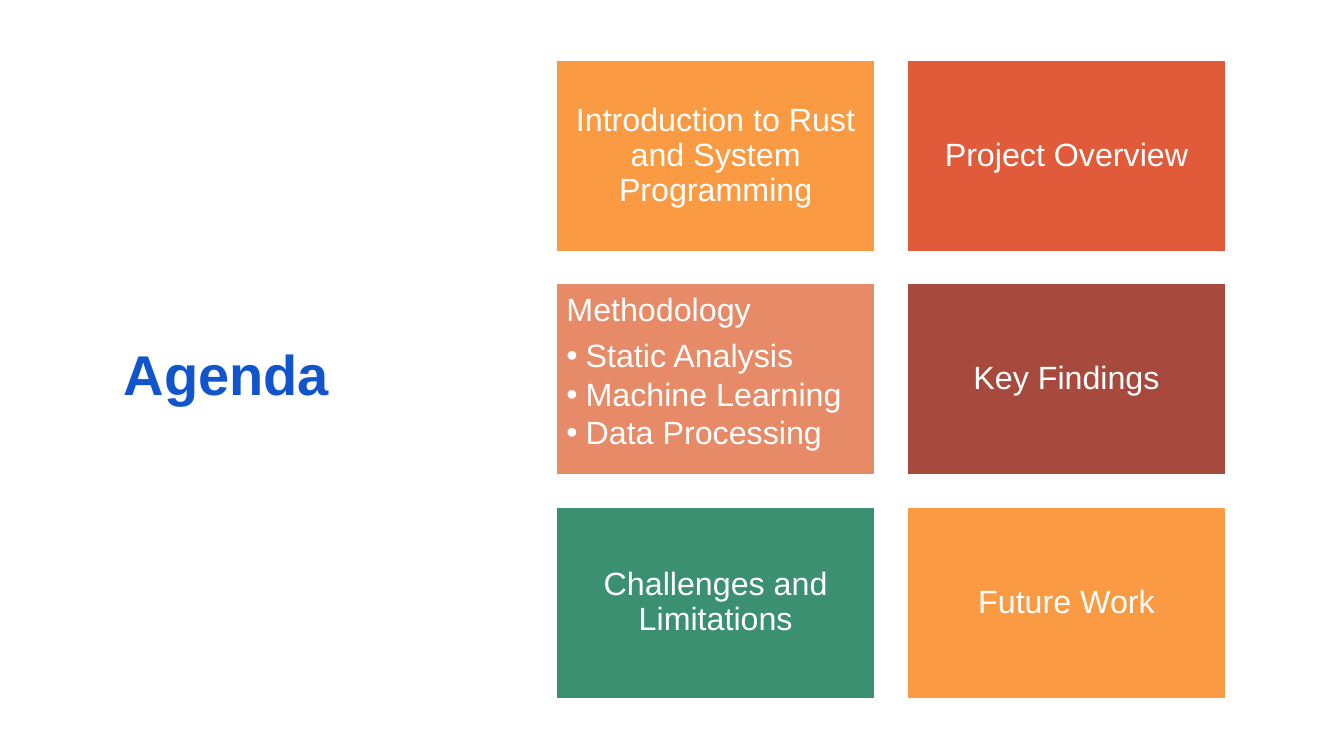
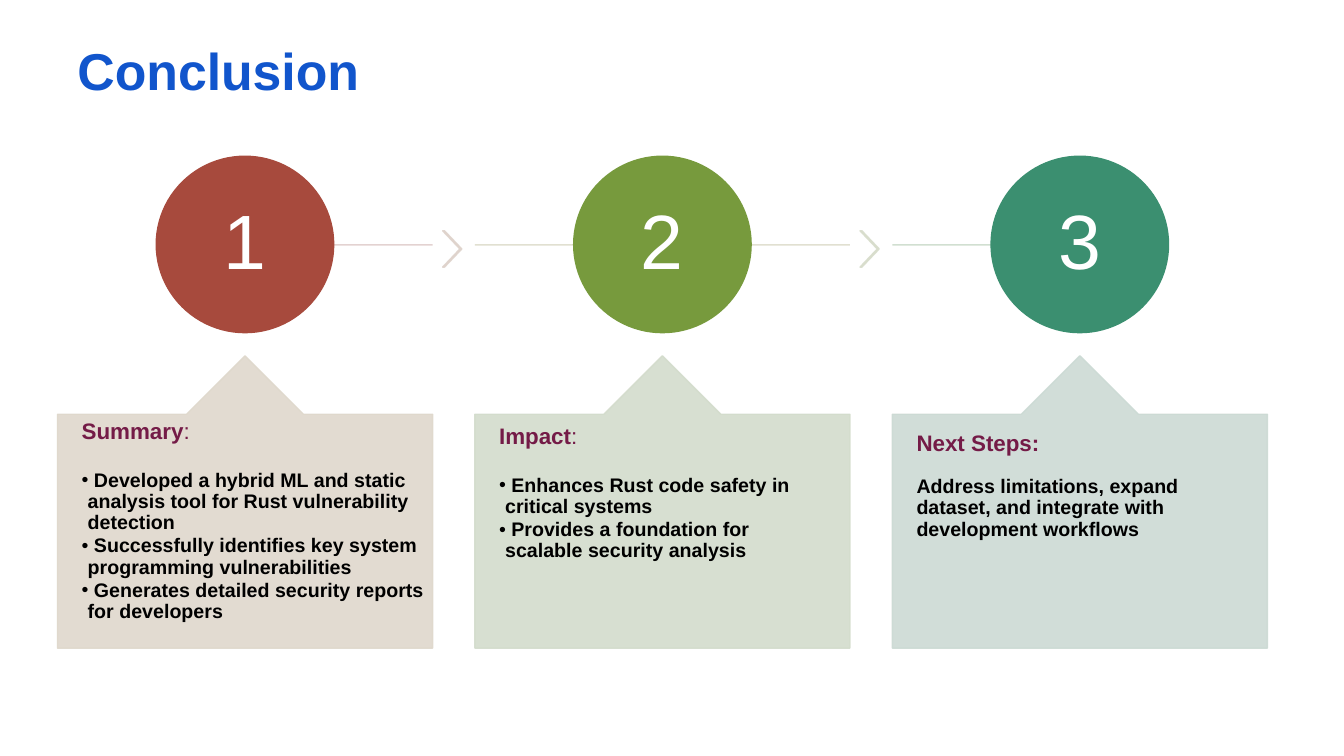
from dataclasses import dataclass

from lxml.etree import SubElement
from pptx import Presentation
from pptx.dml.color import RGBColor
from pptx.enum.shapes import MSO_CONNECTOR, MSO_SHAPE
from pptx.enum.text import MSO_ANCHOR, PP_ALIGN
from pptx.oxml.ns import qn
from pptx.util import Inches, Pt

FONT = "Arial"
COLORS = {
    "title": "1155CC", "white": "FFFFFF", "black": "000000", "heading": "741B47",
    "orange": "FA9A42", "red": "E15B3A", "salmon": "E78A67", "brick": "A74A3D",
    "green": "3A9070", "olive": "779A3D", "teal": "3B8F70",
    "line 1": "E1CECD", "line 2": "DEDDCC", "line 3": "CDDCCC",
    "chevron 1": "DFD3CC", "chevron 2": "D8DDCC",
    "card 1": "DFD8CC", "card 2": "D3DCCC", "card 3": "CCDAD4",
}


@dataclass
class Grid:
    """Equal cells, in inches: first cell's place and size, then the pitch."""
    left: float
    top: float
    width: float
    height: float
    dx: float = 0
    dy: float = 0

    def cell(self, col=0, row=0):
        return [Inches(v) for v in (self.left + col * self.dx,
                                    self.top + row * self.dy,
                                    self.width, self.height)]


def rgb(name):
    return RGBColor.from_string(COLORS[name])


def paint(fill, color, alpha=100):
    """Fill with a named colour at the given opacity in percent."""
    fill.solid()
    fill.fore_color.rgb = rgb(color)
    if alpha < 100:
        for clr in fill._xPr.iter(qn("a:srgbClr")):
            SubElement(clr, qn("a:alpha"), val=str(alpha * 1000))


def add_bullet(p, color, hang):
    pPr = p._p.get_or_add_pPr()
    pPr.set("marL", str(Inches(hang)))
    pPr.set("indent", str(-Inches(hang)))
    buClr = SubElement(pPr, qn("a:buClr"))
    SubElement(buClr, qn("a:srgbClr"), val=COLORS[color])
    SubElement(pPr, qn("a:buFont"), typeface=FONT)
    SubElement(pPr, qn("a:buChar"), char="•")


def write(tf, text, size, color="white", bold=False, align=PP_ALIGN.LEFT,
          before=0, hang=None, plain_tail=""):
    """Add a paragraph; hang makes it a bullet, plain_tail is never bold."""
    first = not tf.paragraphs[0].runs
    p = tf.paragraphs[0] if first else tf.add_paragraph()
    if hang is not None:
        add_bullet(p, color, hang)
    p.alignment = align
    p.line_spacing = 0.9
    if not first:
        p.space_before = Pt(before)
    for part, weight in ((text, bold), (plain_tail, False)):
        if part:
            r = p.add_run()
            r.text = part
            r.font.name, r.font.size, r.font.bold = FONT, Pt(size), weight
            r.font.color.rgb = rgb(color)


class Deck:
    def __init__(self):
        self.prs = Presentation()
        self.prs.slide_width, self.prs.slide_height = Inches(13.33), Inches(7.5)
        self.s = None

    def slide(self):
        self.s = self.prs.slides.add_slide(self.prs.slide_layouts[6])

    def frame(self, sp, insets, anchor):
        tf = sp.text_frame
        tf.word_wrap = True
        tf.vertical_anchor = anchor
        (tf.margin_left, tf.margin_top,
         tf.margin_right, tf.margin_bottom) = [Inches(v) for v in insets]
        return tf

    def title(self, text, grid, size, anchor=MSO_ANCHOR.TOP):
        sp = self.s.shapes.add_textbox(*grid.cell())
        tf = self.frame(sp, (0.1, 0.05, 0.1, 0.05), anchor)
        write(tf, text, size, "title", bold=True)

    def shape(self, kind, box, fill, line=None, alpha=100, adj=(),
              insets=(0.1,) * 4, anchor=MSO_ANCHOR.MIDDLE):
        sp = self.s.shapes.add_shape(kind, *box)
        sp.shadow.inherit = False
        for i, value in enumerate(adj):
            sp.adjustments[i] = value
        paint(sp.fill, fill, alpha)
        paint(sp.line.fill, line or fill, alpha)
        sp.line.width = Pt(1)
        return self.frame(sp, insets, anchor)

    def rule(self, x1, x2, y, color):
        c = self.s.shapes.add_connector(MSO_CONNECTOR.STRAIGHT, x1, y, x2, y)
        paint(c.line.fill, color, 90)
        c.line.width = Pt(1)
        SubElement(c._element.spPr, qn("a:effectLst"))


def agenda(deck):
    deck.slide()
    deck.title("Agenda", Grid(1.13, 0.58, 3.82, 6.33), 40, MSO_ANCHOR.MIDDLE)
    tiles = Grid(5.52, 0.6, 3.16, 1.9, 3.48, 2.215)
    topics = [
        ("orange", "Introduction to Rust and System Programming", []),
        ("red", "Project Overview", []),
        ("salmon", "Methodology",
         ["Static Analysis", "Machine Learning", "Data Processing"]),
        ("brick", "Key Findings", []),
        ("green", "Challenges and Limitations", []),
        ("orange", "Future Work", []),
    ]
    for i, (color, topic, points) in enumerate(topics):
        tf = deck.shape(MSO_SHAPE.RECTANGLE, tiles.cell(i % 2, i // 2), color, "white",
                        anchor=MSO_ANCHOR.TOP if points else MSO_ANCHOR.MIDDLE)
        write(tf, topic, 23, align=PP_ALIGN.LEFT if points else PP_ALIGN.CENTER)
        for j, point in enumerate(points):
            write(tf, point, 23, before=2.7 if j else 8.1, hang=0.19)


def conclusion(deck):
    deck.slide()
    deck.title("Conclusion", Grid(0.67, 0.4, 10.02, 0.81), 37)
    pitch = 4.14
    cards = Grid(0.57, 3.53, 3.72, 2.9, pitch)
    circles = Grid(1.55, 1.55, 1.76, 1.75, pitch)
    chevrons = Grid(4.39, 2.29, 0.19, 0.36, pitch)
    # circle colour, heading, plain tail, top inset, right inset, bulleted, texts
    steps = [
        ("brick", "Summary", ":", 0.06, 0.05, True, [
            " Developed a hybrid ML and static analysis tool for Rust vulnerability detection",
            " Successfully identifies key system programming vulnerabilities",
            " Generates detailed security reports for developers"]),
        ("olive", "Impact", ":", 0.11, 0.24, True, [
            " Enhances Rust code safety in critical systems",
            " Provides a foundation for scalable security analysis"]),
        ("teal", "Next Steps:", "", 0.18, 0.24, False, [
            "Address limitations, expand dataset, and integrate with development workflows"]),
    ]
    last = len(steps) - 1
    for i, (color, heading, tail, top, right, bulleted, texts) in enumerate(steps):
        card = cards.cell(i)
        x, width = card[0], card[2]
        center = x + width // 2
        deck.rule(x if i else center, x + width if i < last else center,
                  Inches(2.43), f"line {i + 1}")
        if i < last:
            deck.shape(MSO_SHAPE.CHEVRON, chevrons.cell(i), f"chevron {i + 1}",
                       alpha=90, adj=[0.9])
        tf = deck.shape(MSO_SHAPE.OVAL, circles.cell(i), color, insets=(0.06,) * 4)
        write(tf, str(i + 1), 55, align=PP_ALIGN.CENTER)
        tf = deck.shape(MSO_SHAPE.UP_ARROW_CALLOUT, card, f"card {i + 1}", alpha=90,
                        adj=[0.5, 0.2, 0.2, 1], insets=(0.24, top, right, 0.18),
                        anchor=MSO_ANCHOR.TOP)
        write(tf, heading, 16, "heading", bold=True, plain_tail=tail)
        for j, text in enumerate(texts):
            gap = 1.6 if j else 18.4 if bulleted else 14.5
            write(tf, text, 14, "black", bold=True, before=gap,
                  hang=0.06 if bulleted else None)


def main():
    deck = Deck()
    agenda(deck)
    conclusion(deck)
    deck.prs.save("out.pptx")


if __name__ == "__main__":
    main()
